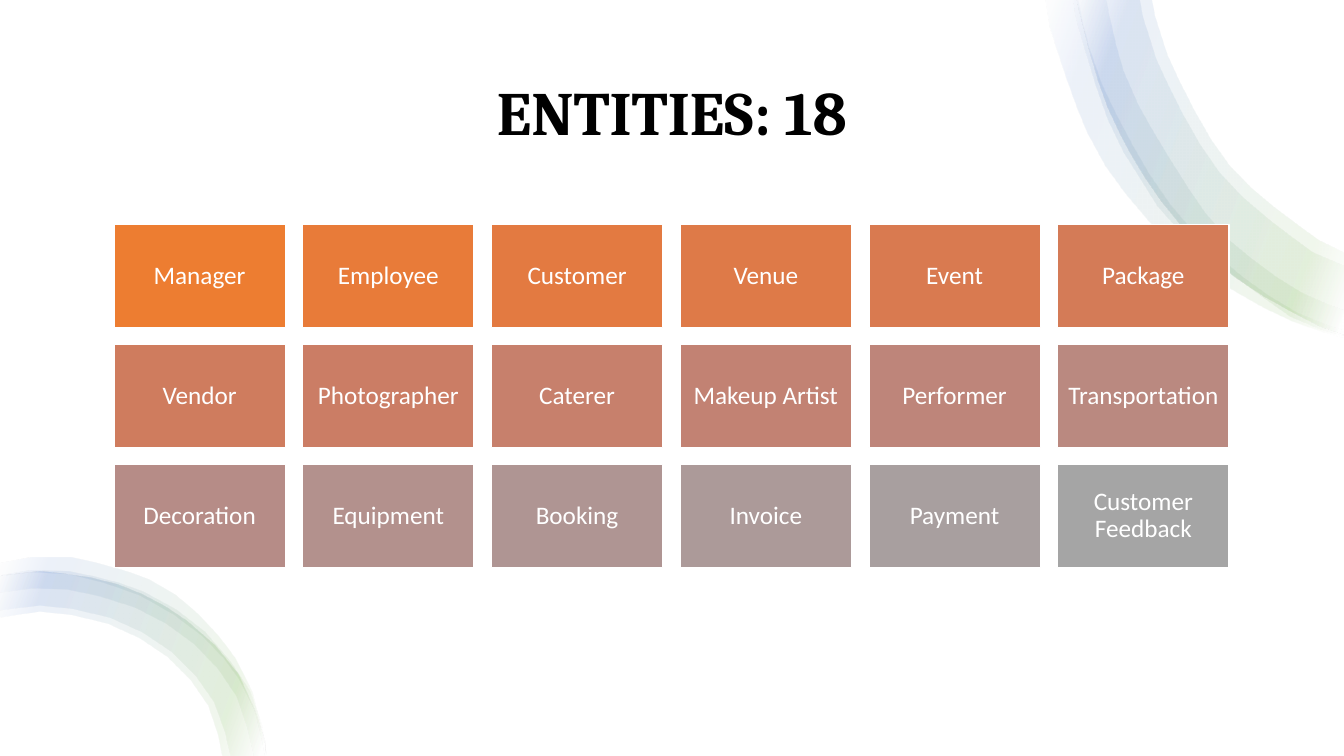
"""Builds the slide of 18 entities: a title, a colour-graded grid of tiles and two ribbon ornaments."""
from colorsys import hls_to_rgb, rgb_to_hls
from dataclasses import dataclass
from math import dist

from lxml.etree import SubElement
from pptx import Presentation
from pptx.dml.color import RGBColor
from pptx.enum.shapes import MSO_SHAPE
from pptx.enum.text import MSO_ANCHOR as ANCHOR, PP_ALIGN as ALIGN
from pptx.oxml.ns import qn
from pptx.util import Inches, Pt

Point = tuple[float, float]


@dataclass(frozen=True)
class Theme:
    white: str = "FFFFFF"
    black: str = "000000"
    first_tile: str = "ED7D31"
    last_tile: str = "A5A5A5"
    ribbon: tuple = ((2, "FFFFFF"), (16, "70AD47"), (85, "4472C4"), (100, "FFFFFF"))
    ribbon_angle: int = 200
    ribbon_opacity: int = 10
    title_font: str = "Cambria"
    tile_font: str = "Calibri"
    title_size: int = 44
    tile_size: int = 18


@dataclass(frozen=True)
class Grid:
    left: float = 1.13
    right: float = 12.19
    top: float = 2.23
    bottom: float = 5.63
    width: float = 1.7
    height: float = 1.02
    columns: int = 6
    rows: int = 3

    def cell(self, index: int) -> list:
        row, col = divmod(index, self.columns)
        x = self.left + col * (self.right - self.width - self.left) / (self.columns - 1)
        y = self.top + row * (self.bottom - self.height - self.top) / (self.rows - 1)
        return [Inches(v) for v in (x, y, self.width, self.height)]


@dataclass(frozen=True)
class Ribbon:
    outer: tuple[Point, ...]
    inner: tuple[Point, ...]


THEME, GRID = Theme(), Grid()
WIDTH, HEIGHT = 13.33, 7.5

ENTITIES = (
    "Manager", "Employee", "Customer", "Venue", "Event", "Package",
    "Vendor", "Photographer", "Caterer", "Makeup Artist", "Performer", "Transportation",
    "Decoration", "Equipment", "Booking", "Invoice", "Payment", "Customer Feedback",
)

TOP_EDGE = ((13.33, 3.32), (13.09, 3.24), (12.23, 2.74), (11.52, 2), (10.99, 1.07),
            (10.69, 0.04), (10.67, -0.09))
BOTTOM_EDGE = ((2.63, 7.5), (2.62, 7.35), (2.36, 6.69), (1.85, 6.16), (1.17, 5.8),
               (0.4, 5.67), (0.04, 5.71), (0, 5.72))

RIBBONS = (
    Ribbon(((13.33, 3.35), (12.82, 3.19), (12.21, 2.87), (11.65, 2.45), (11.16, 1.92),
            (10.78, 1.31), (10.41, 0.26), (10.36, -0.09)),
           ((10.68, -0.09), (10.73, 0.19), (10.93, 0.84), (11.4, 1.73), (11.81, 2.27),
            (12.3, 2.73), (12.86, 3.1), (13.33, 3.28))),
    Ribbon(TOP_EDGE,
           ((11.41, -0.09), (11.58, 0.55), (12.19, 1.64), (13.07, 2.38), (13.33, 2.51))),
    Ribbon(((13.33, 3.33), (13.1, 3.27), (12.79, 3.14), (11.73, 2.33), (11.32, 1.79),
            (10.99, 1.19), (10.68, 0.2), (10.63, -0.09)),
           ((10.96, -0.09), (11.07, 0.44), (11.29, 1.04), (11.95, 2.11), (12.39, 2.55),
            (12.9, 2.9), (13.33, 3.08))),
    Ribbon(TOP_EDGE,
           ((11.29, -0.09), (11.47, 0.59), (12.1, 1.72), (13.01, 2.5), (13.33, 2.64))),
    Ribbon(BOTTOM_EDGE,
           ((0, 6.13), (0.4, 6.07), (1.07, 6.19), (1.66, 6.52), (2.06, 7), (2.2, 7.5))),
    Ribbon(BOTTOM_EDGE,
           ((0, 6.06), (0.4, 6.01), (1.09, 6.13), (1.7, 6.47), (2.12, 6.97), (2.28, 7.5))),
    Ribbon(((2.63, 7.5), (2.59, 7.19), (2.47, 6.85), (2.03, 6.27), (1.42, 5.87),
            (0.69, 5.67), (0.31, 5.66), (0, 5.71)),
           ((0, 5.88), (0.33, 5.84), (0.67, 5.85), (1.34, 6.03), (1.92, 6.39),
            (2.34, 6.91), (2.51, 7.5))),
    Ribbon(((2.64, 7.5), (2.5, 6.87), (2.33, 6.53), (1.96, 6.09), (1.48, 5.75),
            (0.71, 5.53), (0.31, 5.53), (0, 5.59)),
           ((0, 5.72), (0.32, 5.68), (0.69, 5.7), (1.39, 5.91), (2, 6.31),
            (2.36, 6.73), (2.52, 7.05), (2.62, 7.5))),
)


def rgb(value: str) -> RGBColor:
    return RGBColor.from_string(value)


def apply(target, values: dict) -> None:
    for name, value in values.items():
        setattr(target, name, value)


def smooth(points: tuple[Point, ...], step: float = 0.3) -> list[Point]:
    ends = (points[0], *points, points[-1])
    curve = [points[0]]
    for a, b, c, d in zip(ends, ends[1:], ends[2:], ends[3:]):
        count = max(1, round(dist(b, c) / step))
        for t in (i / count for i in range(1, count + 1)):
            curve.append(tuple(
                (2 * q + (r - p) * t + (2 * p - 5 * q + 4 * r - s) * t ** 2
                 + (3 * q - p - 3 * r + s) * t ** 3) / 2
                for p, q, r, s in zip(a, b, c, d)))
    return curve


def tile_colour(share: float) -> RGBColor:
    first, last = (rgb_to_hls(*(v / 255 for v in rgb(c)))
                   for c in (THEME.first_tile, THEME.last_tile))
    mixed = (a + (b - a) * share for a, b in zip(first, last))
    return RGBColor(*(round(v * 255) for v in hls_to_rgb(*mixed)))


def write(shape, text: str, font: dict, colour: str, inset: float) -> None:
    tf = shape.text_frame
    margins = dict.fromkeys(("margin_left", "margin_top", "margin_right", "margin_bottom"),
                            Inches(inset))
    apply(tf, {"word_wrap": True, "vertical_anchor": ANCHOR.MIDDLE, **margins})
    p = tf.paragraphs[0]
    apply(p, {"alignment": ALIGN.CENTER, "line_spacing": 0.9})
    r = p.add_run()
    r.text = text
    apply(r.font, font)
    r.font.color.rgb = rgb(colour)


def add_backdrop(s) -> None:
    sp = s.shapes.add_shape(MSO_SHAPE.RECTANGLE, 0, 0, Inches(WIDTH), Inches(HEIGHT))
    sp.shadow.inherit = False
    sp.fill.solid()
    sp.fill.fore_color.rgb = rgb(THEME.white)
    sp.line.fill.background()
    s.shapes.title.element.addprevious(sp.element)


def add_title(s, text: str) -> None:
    sp = s.shapes.title
    apply(sp, {"left": Inches(0.88), "top": Inches(0.5),
               "width": Inches(11.57), "height": Inches(1.3)})
    font = {"name": THEME.title_font, "size": Pt(THEME.title_size), "bold": True}
    write(sp, text, font, THEME.black, 0.1)


def add_ribbon(s, ribbon: Ribbon) -> None:
    outline = smooth(ribbon.outer) + smooth(ribbon.inner)
    start, *rest = [(Inches(x), Inches(y)) for x, y in outline]
    builder = s.shapes.build_freeform(*start)
    builder.add_line_segments(rest, close=True)
    sp = builder.convert_to_shape()
    sp.shadow.inherit = False
    sp.line.fill.background()
    sp.fill.background()
    sp_pr = sp.element.spPr
    none = sp_pr.find(qn("a:noFill"))
    grad = SubElement(sp_pr, qn("a:gradFill"), rotWithShape="1")
    sp_pr.replace(none, grad)
    stops = SubElement(grad, qn("a:gsLst"))
    for position, colour in THEME.ribbon:
        stop = SubElement(stops, qn("a:gs"), pos=str(position * 1000))
        clr = SubElement(stop, qn("a:srgbClr"), val=colour)
        SubElement(clr, qn("a:alpha"), val=str(THEME.ribbon_opacity * 1000))
    SubElement(grad, qn("a:lin"), ang=str(THEME.ribbon_angle * 60000), scaled="0")


def add_tile(s, index: int, text: str) -> None:
    sp = s.shapes.add_shape(MSO_SHAPE.RECTANGLE, *GRID.cell(index))
    sp.shadow.inherit = False
    sp.fill.solid()
    sp.fill.fore_color.rgb = tile_colour(index / (len(ENTITIES) - 1))
    sp.line.color.rgb = rgb(THEME.white)
    sp.line.width = Pt(1)
    font = {"name": THEME.tile_font, "size": Pt(THEME.tile_size)}
    write(sp, text, font, THEME.white, 0.07)


def main() -> None:
    prs = Presentation()
    apply(prs, {"slide_width": Inches(WIDTH), "slide_height": Inches(HEIGHT)})
    s = prs.slides.add_slide(prs.slide_layouts[5])
    add_backdrop(s)
    add_title(s, f"ENTITIES: {len(ENTITIES)}")
    for ribbon in RIBBONS:
        add_ribbon(s, ribbon)
    for index, entity in enumerate(ENTITIES):
        add_tile(s, index, entity)
    prs.save("out.pptx")


if __name__ == "__main__":
    main()
